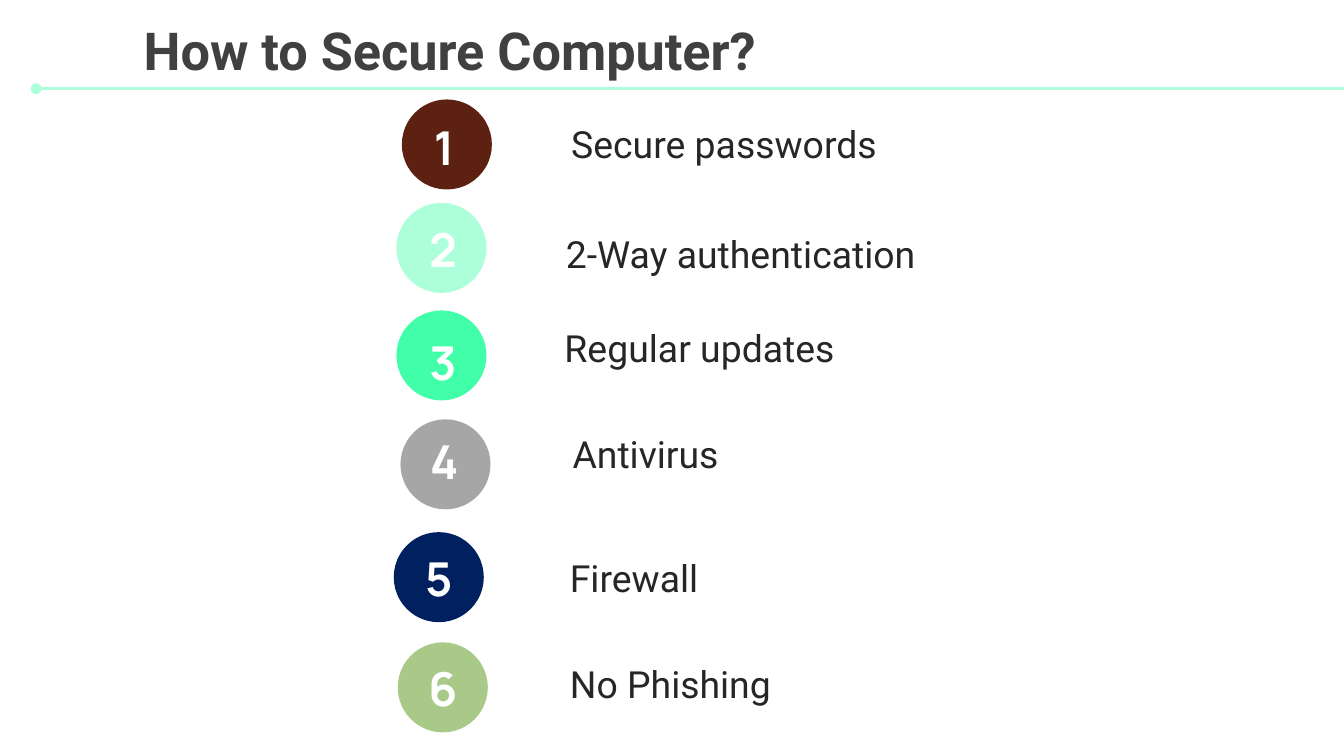
"""Build a slide listing six numbered ways to secure a computer."""
from lxml import etree
from pptx import Presentation
from pptx.dml.color import RGBColor
from pptx.enum import shapes, text
from pptx.oxml import ns
from pptx.util import Inches, Pt

TITLE = "How to Secure Computer?"
ACCENT = "ACFFD9"
SLIDE_WIDTH = 10
SLIDE_HEIGHT = SLIDE_WIDTH * 9 / 16
CIRCLE_SIZE = (0.67, 0.67)
NUMBER_SIZE = (0.45, 0.48)
LABEL_SIZE = (3.22, 0.7)

# label, circle colour, then left and top of circle, number and label
STEPS = [
    ("Secure passwords", "5D2111", (2.99, 0.74), (3.08, 0.85), (4.25, 0.96)),
    ("2-Way authentication", ACCENT, (2.95, 1.51), (3.07, 1.61), (4.21, 1.78)),
    ("Regular updates", "41FFA8", (2.95, 2.31), (3.07, 2.45), (4.2, 2.48)),
    ("Antivirus", "A6A6A6", (2.98, 3.12), (3.08, 3.19), (4.26, 3.27)),
    ("Firewall", "002060", (2.93, 3.96), (3.04, 4.06), (4.24, 4.19)),
    ("No Phishing", "A8C987", (2.96, 4.78), (3.07, 4.88), (4.24, 4.98)),
]

TITLE_FONT = {"name": "Roboto", "size": Pt(28), "bold": True}
NUMBER_FONT = {"name": "Manrope", "size": Pt(25), "bold": True}
LABEL_FONT = {"name": "Roboto", "size": Pt(20)}
NUMBER_FRAME = {"vertical_anchor": text.MSO_ANCHOR.MIDDLE, "margin_left": 0,
                "margin_top": 0, "margin_right": 0, "margin_bottom": 0}
LABEL_FRAME = {"margin_left": 0, "margin_top": Inches(0.08),
               "margin_right": Inches(0.08), "margin_bottom": Inches(0.08)}
NUMBER_PARAGRAPH = {"alignment": text.PP_ALIGN.CENTER}
LABEL_PARAGRAPH = {"line_spacing": Pt(14), "space_before": Pt(7.5)}


def color(value):
    return RGBColor.from_string(value)


def apply(target, values):
    for name, value in values.items():
        setattr(target, name, value)


def add_text(slide, words, position, size, font, font_color, frame={}, layout={}):
    box = slide.shapes.add_textbox(*map(Inches, position + size))
    box.text_frame.word_wrap = True
    apply(box.text_frame, frame)
    paragraph = box.text_frame.paragraphs[0]
    apply(paragraph, layout)
    run = paragraph.add_run()
    run.text = words
    apply(run.font, font)
    run.font.color.rgb = color(font_color)


def add_circle(slide, position, fill):
    circle = slide.shapes.add_shape(
        shapes.MSO_SHAPE.ROUNDED_RECTANGLE, *map(Inches, position + CIRCLE_SIZE))
    circle.adjustments[0] = 0.5
    circle.shadow.inherit = False
    circle.fill.solid()
    circle.fill.fore_color.rgb = color(fill)
    circle.line.fill.background()


def add_title_rule(slide):
    rule = slide.shapes.add_connector(
        shapes.MSO_CONNECTOR.STRAIGHT, *map(Inches, (0.27, 0.66, SLIDE_WIDTH, 0.66)))
    rule.line.color.rgb = color(ACCENT)
    rule.line.width = Pt(1.5)
    line = rule._element.spPr.find(ns.qn("a:ln"))
    etree.SubElement(line, ns.qn("a:headEnd"), type="oval")
    etree.SubElement(rule._element.spPr, ns.qn("a:effectLst"))


def main():
    presentation = Presentation()
    presentation.slide_width = Inches(SLIDE_WIDTH)
    presentation.slide_height = Inches(SLIDE_HEIGHT)
    slide = presentation.slides.add_slide(presentation.slide_layouts[6])

    add_title_rule(slide)
    add_text(slide, TITLE, (0.97, 0.09), (5.05, 1.04), TITLE_FONT, "404040")
    for number, (label, fill, circle_at, number_at, label_at) in enumerate(STEPS, 1):
        add_circle(slide, circle_at, fill)
        add_text(slide, str(number), number_at, NUMBER_SIZE, NUMBER_FONT, "FFFFFF",
                 NUMBER_FRAME, NUMBER_PARAGRAPH)
        add_text(slide, label, label_at, LABEL_SIZE, LABEL_FONT, "262626",
                 LABEL_FRAME, LABEL_PARAGRAPH)
    presentation.save("out.pptx")


if __name__ == "__main__":
    main()
